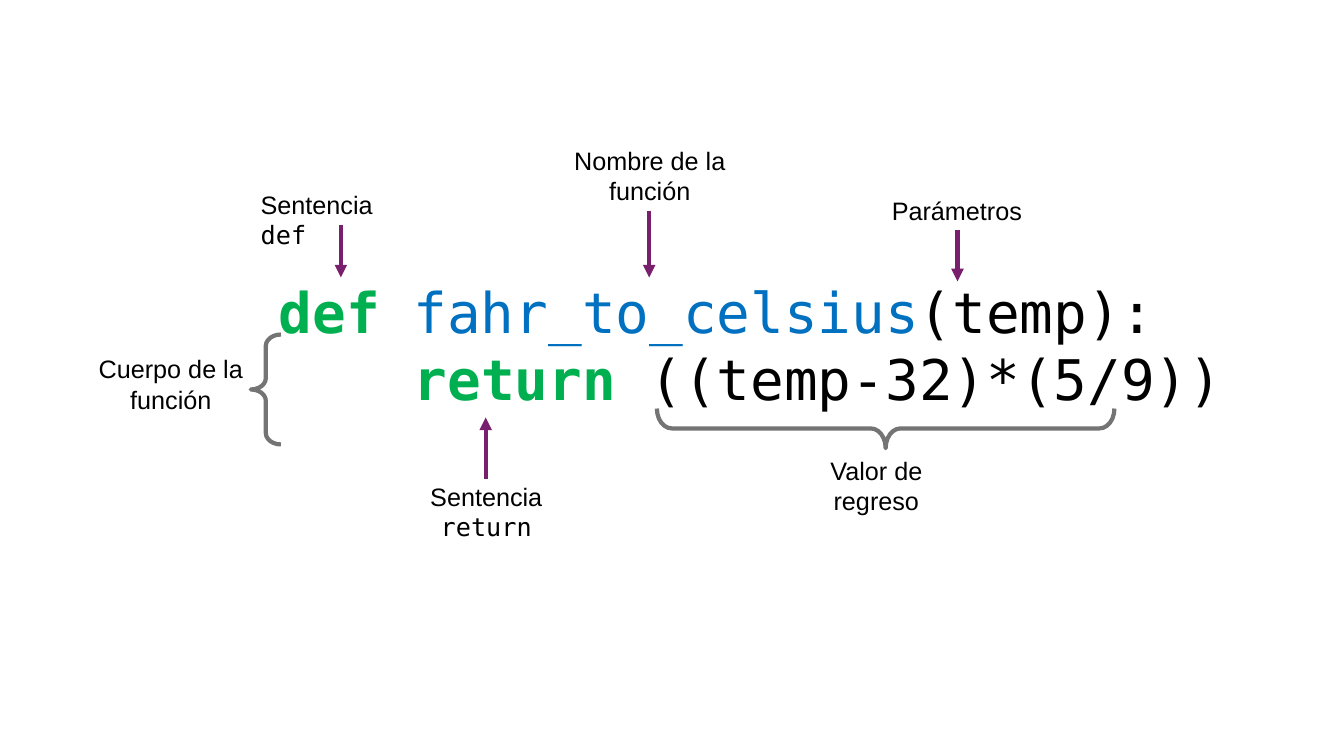
from lxml import etree
from pptx import Presentation
from pptx import util as u
from pptx.dml.color import RGBColor
from pptx.enum import shapes, text
from pptx.oxml import ns

COLOURS = {
    "keyword": "00B050",
    "name": "0070C0",
    "plain": "000000",
    "brace": "747474",
    "arrow": "78206E",
}
SANS, MONO = "Arial", "DejaVu Sans Mono"
LABEL_WIDTH = 4.55
CODE_INDENT = 3.4  # four characters at 40 pt


def colour(key):
    return RGBColor.from_string(COLOURS[key])


def add_box(page, left, top, width, height):
    box = page.shapes.add_textbox(u.Cm(left), u.Cm(top), u.Cm(width), u.Cm(height))
    frame = box.text_frame
    frame.word_wrap = True
    frame.auto_size = text.MSO_AUTO_SIZE.SHAPE_TO_FIT_TEXT
    return frame


def add_code_line(para, spans, indent=0):
    para.font.size = u.Pt(40)
    para.font.name = MONO
    if indent:
        para._p.get_or_add_pPr().set("marL", str(u.Cm(indent)))
    for words, key in spans:
        span = para.add_run()
        span.text = words
        span.font.bold = key == "keyword"
        span.font.color.rgb = colour(key)


def add_label(page, left, top, height, words, code="", align=text.PP_ALIGN.CENTER):
    para = add_box(page, left, top, LABEL_WIDTH, height).paragraphs[0]
    para.alignment = align
    para.font.size = u.Pt(18)
    para.font.color.rgb = colour("plain")
    for content, font in ((words, SANS), (code, MONO)):
        if content:
            span = para.add_run()
            span.text = content
            span.font.name = font


def add_brace(page, left, top, width, height, rotation=0):
    brace = page.shapes.add_shape(
        shapes.MSO_SHAPE.LEFT_BRACE, u.Cm(left), u.Cm(top), u.Cm(width), u.Cm(height)
    )
    brace.adjustments[0] = 0.375
    brace.rotation = rotation
    brace.shadow.inherit = False
    brace.fill.background()
    brace.line.color.rgb = colour("brace")
    brace.line.width = u.Pt(3)


def add_arrow(page, x, start, end):
    arrow = page.shapes.add_connector(
        shapes.MSO_CONNECTOR.STRAIGHT, u.Cm(x), u.Cm(start), u.Cm(x), u.Cm(end)
    )
    arrow.line.color.rgb = colour("arrow")
    arrow.line.width = u.Pt(3)
    line = arrow.line._get_or_add_ln()
    etree.SubElement(line, ns.qn("a:tailEnd"), type="triangle")
    etree.SubElement(arrow._element.spPr, ns.qn("a:effectLst"))


def main():
    deck = Presentation()
    deck.slide_width, deck.slide_height = u.Cm(33.87), u.Cm(19.05)
    page = deck.slides.add_slide(deck.slide_layouts[6])

    # Code of the function
    code = add_box(page, 6.78, 6.86, 25.4, 3.68)
    add_code_line(
        code.paragraphs[0],
        [("def ", "keyword"), ("fahr_to_celsius", "name"), ("(temp):", "plain")],
    )
    add_code_line(
        code.add_paragraph(),
        [("return ", "keyword"), ("((temp-32)*(5/9))", "plain")],
        CODE_INDENT,
    )

    # Labels
    add_label(page, 6.32, 4.65, 1.02, "Sentencia ", "def", text.PP_ALIGN.LEFT)
    add_label(page, 14.1, 3.53, 1.8, "Nombre de la función")
    add_label(page, 21.84, 4.8, 1.02, "Parámetros")
    add_label(page, 2.03, 8.79, 1.8, "Cuerpo de la función")
    add_label(page, 9.98, 12.01, 1.8, "Sentencia ", "return")
    add_label(page, 19.81, 11.35, 1.8, "Valor de regreso")

    # Braces around the body and the returned value
    add_brace(page, 6.32, 8.43, 0.76, 2.77)
    add_brace(page, 21.82, 5.03, 1, 11.53, rotation=270)

    # Arrows from the labels to the code
    for x, start, end in [
        (8.59, 5.66, 6.99),
        (16.36, 5.31, 6.99),
        (24.13, 5.79, 7.09),
        (12.24, 12.07, 10.52),
    ]:
        add_arrow(page, x, start, end)

    deck.save("out.pptx")


if __name__ == "__main__":
    main()
